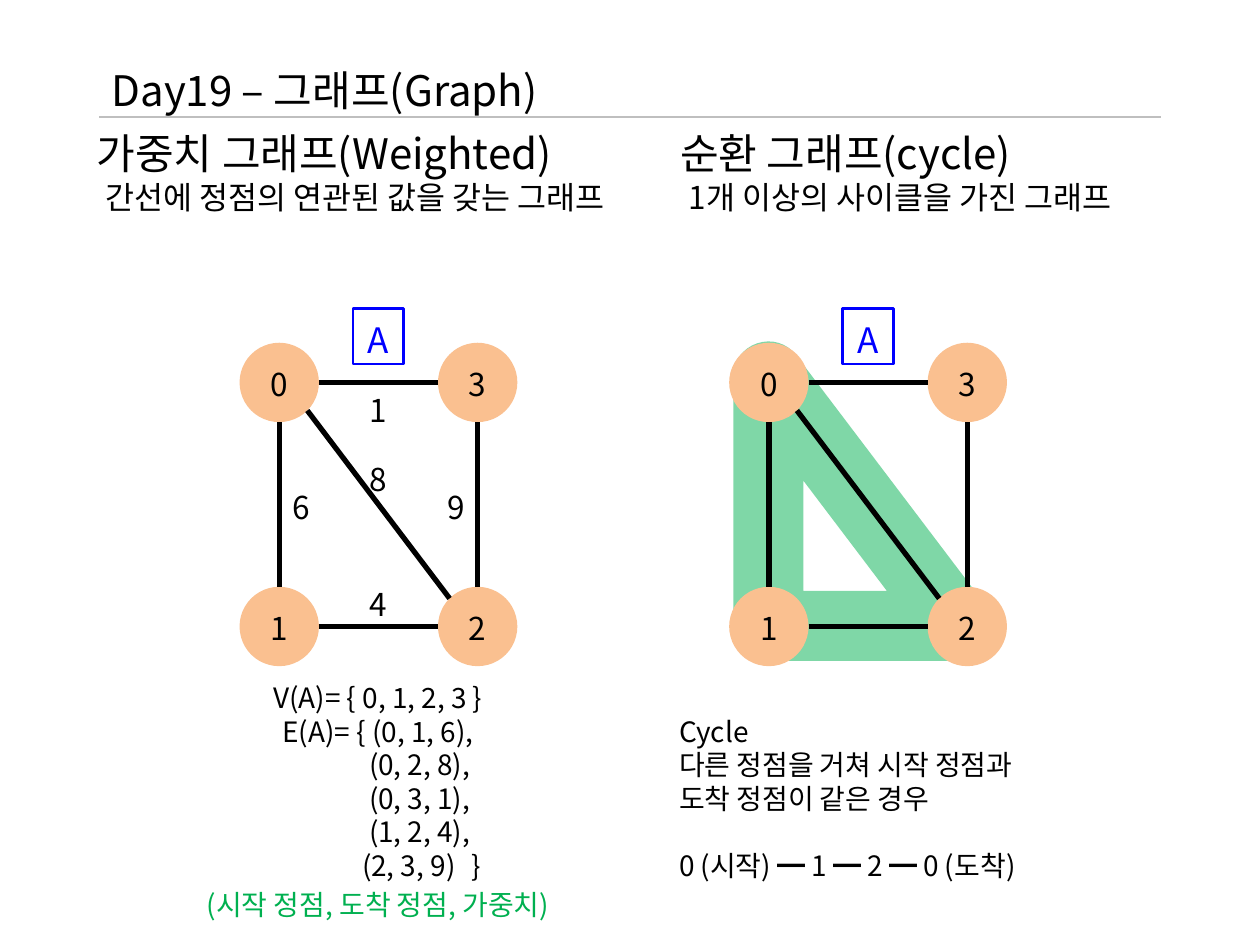
from dataclasses import dataclass
from math import copysign, hypot

from lxml.etree import SubElement
from pptx import Presentation
from pptx.dml.color import RGBColor
from pptx.enum.shapes import MSO_CONNECTOR, MSO_SHAPE
from pptx.enum.text import MSO_ANCHOR, PP_ALIGN
from pptx.oxml.ns import qn
from pptx.util import Cm, Pt


@dataclass(frozen=True)
class Theme:
    font: str = "Noto Sans CJK KR"
    ink: str = "000000"
    rule: str = "BFBFBF"
    node: str = "FAC090"
    blue: str = "0000FF"
    green: str = "00B050"
    head: int = 24
    tag: int = 20
    body: int = 18
    note: int = 16
    pitch: float = 1.2
    drop: float = 0.09


T = Theme()
NODES = {"0": (0, 0), "1": (0, 1), "3": (1, 0), "2": (1, 1)}
EDGES = ("01", "12", "32", "30", "20")
COSTS = {"8": (2.79, 3.38), "6": (1.24, 3.94), "1": (2.79, 1.98),
         "4": (2.79, 5.89), "9": (4.37, 3.94)}


def rgb(code):
    return RGBColor.from_string(code)


def style(para, text, size=T.body, color=T.ink, align=PP_ALIGN.LEFT,
          indent=0, before=0, tabs=()):
    props = para._p.get_or_add_pPr()
    if tabs:
        stops = SubElement(props, qn("a:tabLst"))
        for stop in tabs:
            SubElement(stops, qn("a:tab"), pos=str(Cm(stop)), algn="l")
    if indent:
        props.set("marL", str(Cm(indent)))
    para.alignment = align
    para.line_spacing = Pt(size * T.pitch)
    if before:
        para.space_before = Pt(before)
    run = para.add_run()
    run.text = text
    run.font.size = Pt(size)
    run.font.name = T.font
    run.font.color.rgb = rgb(color)
    face = SubElement(run._r.get_or_add_rPr(), qn("a:ea"))
    face.set("typeface", T.font)


def fill_text(shape, rows, wrap=True, anchor=MSO_ANCHOR.TOP):
    frame = shape.text_frame
    frame.word_wrap = wrap
    frame.vertical_anchor = anchor
    size = rows[0][1].get("size", T.body)
    frame.margin_top = Cm(0.13) + Pt(size * T.drop)
    frame.margin_bottom = Cm(0.13)
    for num, (text, look) in enumerate(rows):
        para = frame.add_paragraph() if num else frame.paragraphs[0]
        style(para, text, **look)


def add_text(slide, box, rows, **frame):
    area = slide.shapes.add_textbox(*map(Cm, box))
    fill_text(area, rows, **frame)


def add_form(slide, kind, box, fill=None, line=None, width=0):
    form = slide.shapes.add_shape(kind, *map(Cm, box))
    form.shadow.inherit = False
    if fill:
        form.fill.solid()
        form.fill.fore_color.rgb = rgb(fill)
    else:
        form.fill.background()
    if line:
        form.line.color.rgb = rgb(line)
        form.line.width = Pt(width)
    else:
        form.line.fill.background()
    return form


def add_line(slide, start, end, color, width):
    line = slide.shapes.add_connector(
        MSO_CONNECTOR.STRAIGHT, *map(Cm, (*start, *end)))
    line.line.color.rgb = rgb(color)
    line.line.width = Pt(width)
    SubElement(line._element.spPr, qn("a:effectLst"))


def add_title(slide, box):
    left, top, wide, high = box
    add_text(slide, box, [("Day19 – 그래프(Graph)", {"size": T.head})])
    add_line(slide, (left, top + high), (left + wide, top + high), T.rule, 0.75)


def add_head(slide, box, name, gloss):
    add_text(slide, box, [(name, {"size": T.head}), (gloss, {"indent": 0.18})])


def add_ring(slide, box):
    left, top = box[:2]
    ring = add_form(slide, MSO_SHAPE.RIGHT_TRIANGLE,
                    (left + 0.79, top + 1.37, 3.81, 5.03),
                    line=T.green, width=40)
    line = ring.line._get_or_add_ln()
    tint = line.find(qn("a:solidFill"))[0]
    SubElement(tint, qn("a:alpha"), val="50000")
    SubElement(line, qn("a:round"))


def add_graph(slide, box, costs=None):
    left, top, wide, high = box
    size, lift = 1.6, 0.69
    mid = {"align": PP_ALIGN.CENTER}
    spots = {}
    for name, (col, row) in NODES.items():
        x = left + col * (wide - size)
        y = top + lift + row * (high - lift - size)
        spots[name] = x + size / 2, y + size / 2
        node = add_form(slide, MSO_SHAPE.OVAL, (x, y, size, size), fill=T.node)
        fill_text(node, [(name, mid)], anchor=MSO_ANCHOR.MIDDLE)
    for one, two in EDGES:
        (ax, ay), (bx, by) = spots[one], spots[two]
        ux, uy = (copysign(1, d) if abs(d) > 0.01 else 0
                  for d in (bx - ax, by - ay))
        trim = size / 2 / hypot(ux, uy)
        add_line(slide, (ax + ux * trim, ay + uy * trim),
                 (bx - ux * trim, by - uy * trim), T.ink, 3)
    tag = add_form(slide, MSO_SHAPE.RECTANGLE,
                   (left + wide / 2 - 0.51, top, 1.02, 1.12),
                   line=T.blue, width=1.5)
    look = {"size": T.tag, "color": T.blue, **mid}
    fill_text(tag, [("A", look)], wrap=False)
    for cost, (x, y) in (costs or {}).items():
        add_text(slide, (left + x - 0.43, top + y - 0.51, 0.86, 1.02),
                 [(cost, mid)], wrap=False)


def add_sets(slide, box):
    left, top, wide, high = box
    note = {"size": T.note}
    mid = {**note, "align": PP_ALIGN.CENTER}
    rows = [("V(A)= { 0, 1, 2, 3 }", mid), ("E(A)= { (0, 1, 6),", mid)]
    rows += [(f"\t{edge},", {**note, "tabs": (2.34,)})
             for edge in ("(0, 2, 8)", "(0, 3, 1)", "(1, 2, 4)")]
    rows.append(("\t(2, 3, 9)\t}", {**note, "tabs": (2.2, 4.4)}))
    add_text(slide, (left + 1.38, top, wide - 2.76, 4.37), rows)
    add_text(slide, (left, top + 4.17, wide, high - 4.17),
             [("(시작 정점, 도착 정점, 가중치)", {**mid, "color": T.green})])


def add_cycle(slide, box):
    note = {"size": T.note}
    add_text(slide, box, [
        ("Cycle", note),
        ("다른 정점을 거쳐 시작 정점과 도착 정점이 같은 경우", note),
        ("0 (시작) ━ 1 ━ 2 ━ 0 (도착)",
         {**note, "before": T.note * T.pitch})])


def main():
    deck = Presentation()
    deck.slide_width, deck.slide_height = Cm(25.4), Cm(19.05)
    slide = deck.slides.add_slide(deck.slide_layouts[6])
    add_title(slide, (2, 1.09, 21.4, 1.27))
    add_head(slide, (1.7, 2.36, 11.86, 2.06),
             "가중치 그래프(Weighted)", "간선에 정점의 연관된 값을 갖는 그래프")
    add_head(slide, (13.46, 2.36, 9.96, 2.06),
             "순환 그래프(cycle)", "1개 이상의 사이클을 가진 그래프")
    add_graph(slide, (4.83, 6.22, 5.6, 7.21), COSTS)
    add_sets(slide, (3.47, 13.54, 8.3, 5.11))
    ring = (14.7, 6.22, 5.6, 7.21)
    add_ring(slide, ring)
    add_graph(slide, ring)
    add_cycle(slide, (13.44, 14.22, 8.13, 3.69))
    deck.save("out.pptx")


if __name__ == "__main__":
    main()
